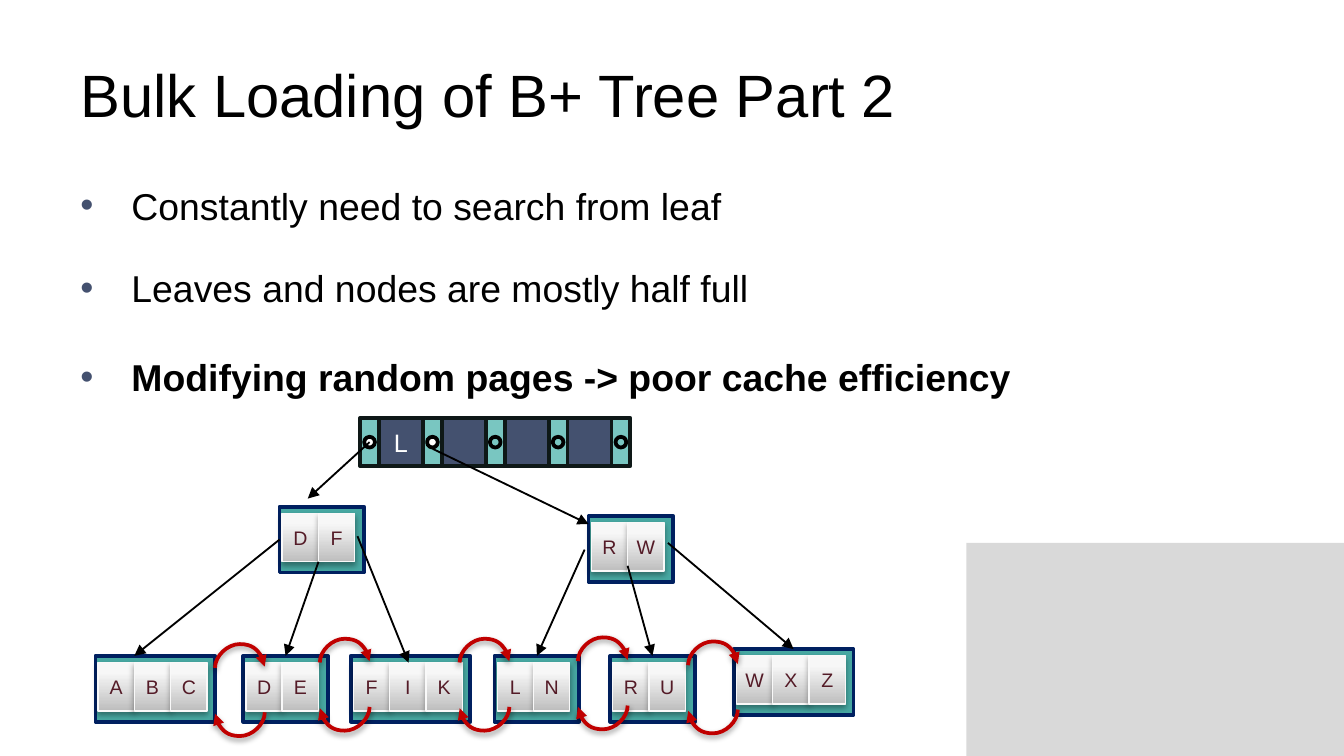
from lxml.etree import SubElement
from pptx import Presentation
from pptx.dml.color import RGBColor
from pptx.enum.shapes import MSO_CONNECTOR as Connector, MSO_SHAPE as Shape
from pptx.enum.text import MSO_ANCHOR as Anchor, PP_ALIGN as Align
from pptx.oxml.ns import qn
from pptx.util import Inches, Pt

COLORS = {
    "black": "000000", "white": "FFFFFF", "panel": "D9D9D9", "slate": "44516F",
    "pointer": "79C6C1", "root_line": "0E1817", "node": "47A8A2", "node_line": "002060",
    "key_dark": "BEBEBE", "key_mid": "F7F7F7", "key_light": "F8F8F8",
    "key_line": "F9F9F9", "key_text": "541B27", "link": "C00000",
}
KEY_WIDTH, KEY_HEIGHT, NODE_HEIGHT = 0.27, 0.36, 0.49
LEAVES = [("ABC", 0.71, 4.88), ("DE", 1.81, 4.88), ("FIK", 2.61, 4.88),
          ("LN", 3.68, 4.88), ("RU", 4.54, 4.88), ("WXZ", 5.46, 4.83)]
INNER_NODES = [("DF", 2.08, 3.77), ("RW", 4.38, 3.84)]
LEAF_LINKS = [(1.6, 4.78), (2.38, 4.74), (3.42, 4.74), (4.3, 4.73), (5.12, 4.76)]
EDGES = [
    ((2.75, 3.29), (2.29, 3.71), None, None),
    ((3.22, 3.34), (4.38, 3.9), None, None),
    ((2.08, 4.01), (1, 4.88), "DF", None),
    ((2.37, 4.18), (2.12, 4.88), None, "DE"),
    ((2.66, 3.99), (3.04, 4.93), None, None),
    ((4.35, 4.09), (4, 4.88), None, "LN"),
    ((4.67, 4.21), (4.85, 4.88), None, "RU"),
    ((4.97, 4.04), (5.91, 4.83), None, "WXZ"),
]
BULLETS = [
    ("Constantly need to search from leaf", {"before": 30}),
    ("Leaves and nodes are mostly half full", {"before": 20, "after": 20}),
    ("Modifying random pages -> poor cache efficiency", {"before": 4, "bold": True}),
]


def rgb(name):
    """Return the named colour."""
    return RGBColor.from_string(COLORS[name])


def child(parent, tag, **attributes):
    """Append a DrawingML element with the given attributes."""
    return SubElement(parent, qn(f"a:{tag}"), {k: str(v) for k, v in attributes.items()})


def write_text(paragraph, text, size, color="black", bold=False, align=Align.LEFT,
               before=0, after=0):
    """Write one formatted run into a paragraph."""
    paragraph.alignment = align
    paragraph.space_before, paragraph.space_after = Pt(before), Pt(after)
    run = paragraph.add_run()
    run.text = text
    run.font.name, run.font.size, run.font.bold = "Arial", Pt(size), bold
    run.font.color.rgb = rgb(color)


def add_box(slide, left, top, width, height, fill=None, line=None, line_width=2, kind=Shape.RECTANGLE):
    """Add a flat preset shape."""
    shape = slide.shapes.add_shape(kind, Inches(left), Inches(top), Inches(width), Inches(height))
    shape.shadow.inherit = False
    if fill:
        shape.fill.solid()
        shape.fill.fore_color.rgb = rgb(fill)
    else:
        shape.fill.background()
    if line:
        shape.line.color.rgb = rgb(line)
        shape.line.width = Pt(line_width)
    else:
        shape.line.fill.background()
    return shape


def add_shadow(shape, blur, distance, opacity):
    """Give a shape a soft shadow that falls downwards."""
    effects = shape._element.spPr.find(qn("a:effectLst"))
    shadow = child(effects, "outerShdw", blurRad=Pt(blur), dist=Pt(distance),
                   dir=5400000, rotWithShape=0)
    color = child(shadow, "srgbClr", val=COLORS["black"])
    child(color, "alpha", val=opacity * 1000)


def label_box(shape, text, size, color):
    """Centre a key inside its box."""
    frame = shape.text_frame
    frame.margin_left = frame.margin_right = 0
    frame.margin_top = frame.margin_bottom = Inches(0.04)
    frame.vertical_anchor = Anchor.MIDDLE
    write_text(frame.paragraphs[0], text, size, color, align=Align.CENTER)


def add_text_area(slide, left, top, width, height, anchor=Anchor.TOP):
    """Add a wrapping text box and return its frame."""
    frame = slide.shapes.add_textbox(
        Inches(left), Inches(top), Inches(width), Inches(height)).text_frame
    frame.word_wrap = True
    frame.vertical_anchor = anchor
    return frame


def add_bullets(slide, left, top, width, height):
    """Add the bulleted statements."""
    frame = add_text_area(slide, left, top, width, height)
    for index, (text, style) in enumerate(BULLETS):
        paragraph = frame.add_paragraph() if index else frame.paragraphs[0]
        write_text(paragraph, text, 20, **style)
        properties = paragraph._p.get_or_add_pPr()
        properties.set("marL", str(Inches(0.38)))
        properties.set("indent", str(-Inches(0.38)))
        child(child(properties, "buClr"), "srgbClr", val=COLORS["slate"])
        child(properties, "buFont", typeface="Arial")
        child(properties, "buChar", char="•")


def add_root(slide, left, top, width, height, keys=("L", "", "", "")):
    """Add the root node, with pointers between its key slots."""
    pointer_width, dot = 0.14, 0.08
    pitch = (width - pointer_width) / len(keys)
    for index, key in enumerate(keys):
        slot = add_box(slide, left + index * pitch + pointer_width, top,
                       pitch - pointer_width, height, "slate", "root_line")
        if key:
            label_box(slot, key, 13.5, "white")
    for index in range(len(keys) + 1):
        x = left + index * pitch
        add_box(slide, x, top, pointer_width, height, "pointer", "root_line")
        add_box(slide, x + (pointer_width - dot) / 2, top + (height - dot) / 2, dot, dot,
                "white" if index < 2 else None, "black", kind=Shape.OVAL)


def add_node(slide, keys, left, top):
    """Add a node with its raised keys and return its frame."""
    width = 0.63 + 0.26 * (len(keys) - 2)
    node = add_box(slide, left, top, width, NODE_HEIGHT, "node", "node_line")
    for index, key in enumerate(keys):
        box = add_box(slide, left + 0.02 + index * KEY_WIDTH, top + 0.05,
                      KEY_WIDTH, KEY_HEIGHT, "key_mid", "key_line", 0.75)
        box.fill.gradient()
        gradient = box._element.spPr.find(qn("a:gradFill"))
        for part in list(gradient):
            gradient.remove(part)
        stops = child(gradient, "gsLst")
        for position, name in ((0, "key_dark"), (80, "key_mid"), (100, "key_light")):
            child(child(stops, "gs", pos=position * 1000), "srgbClr", val=COLORS[name])
        child(gradient, "lin", ang=270 * 60000, scaled=0)
        add_shadow(box, 3.1, 1.8, 35)
        label_box(box, key, 10.5, "key_text")
    return node


def add_arrow(slide, start, end, color="black", width=1, kind=Connector.STRAIGHT):
    """Add a connector with a triangular arrowhead."""
    arrow = slide.shapes.add_connector(kind, *(Inches(value) for value in (*start, *end)))
    arrow.line.color.rgb = rgb(color)
    arrow.line.width = Pt(width)
    child(arrow.line._get_or_add_ln(), "tailEnd", type="triangle")
    child(arrow._element.spPr, "effectLst")
    return arrow


def add_leaf_links(slide, left, top, span=0.37, thickness=0.01):
    """Add the forward and backward curves between two neighbouring leaves."""
    x = left + (span - thickness) / 2
    back_top = top + 0.34
    forward = (x + thickness, top + span), (x, top)
    backward = (x, back_top), (x + thickness, back_top + span)
    for start, end in (forward, backward):
        curve = add_arrow(slide, start, end, "link", 2, Connector.CURVE)
        properties = curve._element.spPr
        properties.find(qn("a:xfrm")).set("rot", "5400000")
        guides = properties.find(qn("a:prstGeom")).find(qn("a:avLst"))
        child(guides, "gd", name="adj1", fmla="val 1800000")
        add_shadow(curve, 3.1, 1.6, 38)


def add_tree(slide):
    """Add the whole tree with its links and edges."""
    add_root(slide, 2.68, 3.11, 2.01, 0.36)
    nodes = {keys: add_node(slide, keys, left, top) for keys, left, top in LEAVES}
    for left, top in LEAF_LINKS:
        add_leaf_links(slide, left, top)
    nodes.update({keys: add_node(slide, keys, left, top) for keys, left, top in INNER_NODES})
    for start, end, parent, leaf in EDGES:
        edge = add_arrow(slide, start, end)
        if parent:
            edge.begin_connect(nodes[parent], 1)
        if leaf:
            edge.end_connect(nodes[leaf], 0)


def main():
    """Build and save the slide."""
    presentation = Presentation()
    presentation.slide_width, presentation.slide_height = Inches(10), Inches(10 * 9 / 16)
    slide = presentation.slides.add_slide(presentation.slide_layouts[6])
    add_box(slide, 7.19, 4.04, 2.81, 1.59, "panel")
    title = add_text_area(slide, 0.5, 0.23, 9, 0.94, Anchor.MIDDLE)
    write_text(title.paragraphs[0], "Bulk Loading of B+ Tree Part 2", 32)
    add_bullets(slide, 0.5, 1.31, 9, 3.71)
    add_tree(slide)
    presentation.save("out.pptx")


if __name__ == "__main__":
    main()
